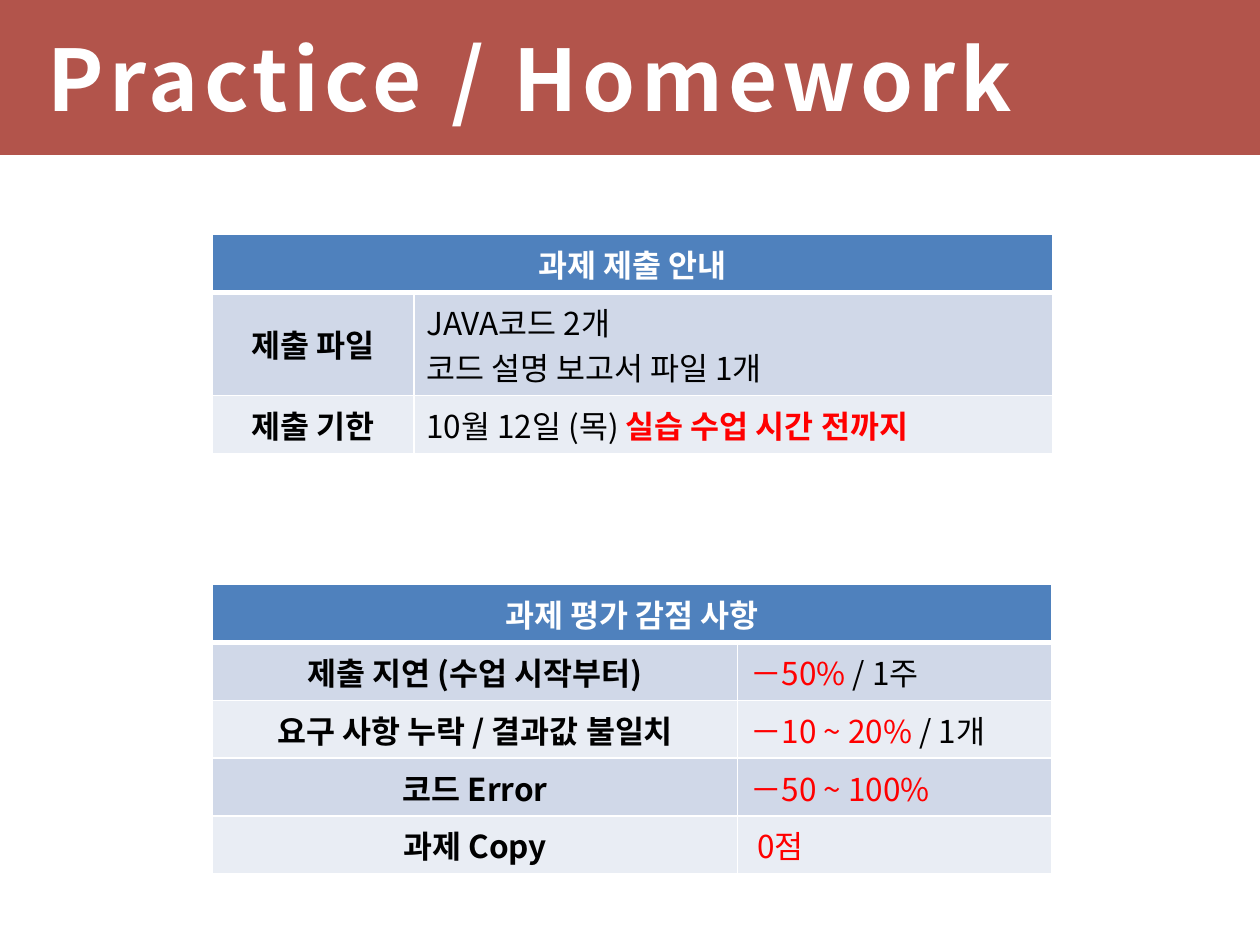
from lxml import etree
from pptx import Presentation
from pptx.dml.color import RGBColor
from pptx.enum import shapes, text
from pptx.oxml import ns
from pptx.util import Pt

FONT = "Noto Sans CJK KR"
LINE_HEIGHT = 25.9
CELL_PADDING = 7.2
COLORS = {
    "banner": "9B1F13",
    "header": "4F81BD",
    "band_dark": "D0D8E8",
    "band_light": "E9EDF4",
    "white": "FFFFFF",
    "black": "000000",
    "red": "FF0000",
}


def rgb(name):
    return RGBColor.from_string(COLORS[name])


def style_paragraph(paragraph, size):
    paragraph.font.name = FONT
    paragraph.font.size = Pt(size)
    props = paragraph.font._element
    props.set("kern", "0")
    etree.SubElement(props, ns.qn("a:ea"), typeface=FONT)
    return props


def add_banner(slide, left, top, width, height, title):
    banner = slide.shapes.add_shape(
        shapes.MSO_SHAPE.RECTANGLE, Pt(left), Pt(top), Pt(width), Pt(height))
    banner.shadow.inherit = False
    banner.line.fill.background()
    banner.fill.solid()
    banner.fill.fore_color.rgb = rgb("banner")
    tint = banner._element.spPr.find(".//" + ns.qn("a:srgbClr"))
    etree.SubElement(tint, ns.qn("a:alpha"), val="76000")

    heading = slide.shapes.add_textbox(
        Pt(left + 20), Pt(top), Pt(width - 40), Pt(height)).text_frame
    heading.word_wrap = True
    heading.vertical_anchor = text.MSO_ANCHOR.MIDDLE
    line = heading.paragraphs[0]
    line.text = title
    line.font.bold = True
    line.font.color.rgb = rgb("white")
    style_paragraph(line, 48.5).set("spc", "300")


def set_borders(cell, top, bottom):
    props = cell._tc.get_or_add_tcPr()
    widths = {"lnL": 1, "lnR": 1, "lnT": top, "lnB": bottom}
    for index, (side, width) in enumerate(widths.items()):
        border = etree.Element(ns.qn("a:" + side), w=str(Pt(width)))
        fill = etree.SubElement(border, ns.qn("a:solidFill"))
        etree.SubElement(fill, ns.qn("a:srgbClr"), val=COLORS["white"])
        props.insert(index, border)


def fill_cell(cell, lines, band, centered, top=1, bottom=1):
    cell.fill.solid()
    cell.fill.fore_color.rgb = rgb(band)
    cell.vertical_anchor = text.MSO_ANCHOR.MIDDLE
    set_borders(cell, top, bottom)
    frame = cell.text_frame
    for index, runs in enumerate(lines):
        line = frame.add_paragraph() if index else frame.paragraphs[0]
        line.alignment = text.PP_ALIGN.CENTER if centered else text.PP_ALIGN.LEFT
        style_paragraph(line, 18)
        for words, color, bold in runs:
            run = line.add_run()
            run.text = words
            run.font.bold = bold
            run.font.color.rgb = rgb(color)


def add_notice(slide, left, top, widths, heading, entries):
    line_counts = [1] + [len(details) for _, details in entries]
    heights = [count * LINE_HEIGHT + CELL_PADDING for count in line_counts]
    notice = slide.shapes.add_table(
        len(heights), 2, Pt(left), Pt(top), Pt(sum(widths)), Pt(sum(heights))).table
    for column, width in zip(notice.columns, widths):
        column.width = Pt(width)
    for row, height in zip(notice.rows, heights):
        row.height = Pt(height)

    notice.cell(0, 0).merge(notice.cell(0, 1))
    fill_cell(notice.cell(0, 0), [[(heading, "white", True)]], "header", True, bottom=3)
    for index, (label, details) in enumerate(entries, 1):
        band = "band_dark" if index % 2 else "band_light"
        edge = 3 if index == 1 else 1
        fill_cell(notice.cell(index, 0), [[(label, "black", True)]], band, True, top=edge)
        fill_cell(notice.cell(index, 1), details, band, False, top=edge)


def plain(words):
    return (words, "black", False)


def penalty(words):
    return (words, "red", False)


SUBMISSION = [
    ("제출 파일", [[plain("JAVA코드 2개")], [plain("코드 설명 보고서 파일 1개")]]),
    ("제출 기한", [[plain("10월 12일 (목) "), ("실습 수업 시간 전까지", "red", True)]]),
]
DEDUCTIONS = [
    ("제출 지연 (수업 시작부터)", [[penalty("－50%"), plain(" / 1주")]]),
    ("요구 사항 누락 / 결과값 불일치", [[penalty("－10 ~ 20%"), plain(" / 1개")]]),
    ("코드 Error", [[penalty("－50 ~ 100%")]]),
    ("과제 Copy", [[penalty(" 0점")]]),
]

deck = Presentation()
deck.slide_width, deck.slide_height = Pt(720), Pt(540)
homework = deck.slides.add_slide(deck.slide_layouts[6])
add_banner(homework, 0, 0, 720, 88.5, "Practice / Homework")
add_notice(homework, 121.5, 134, (115, 365), "과제 제출 안내", SUBMISSION)
add_notice(homework, 121.5, 334, (300, 179.5), "과제 평가 감점 사항", DEDUCTIONS)
deck.save("out.pptx")
